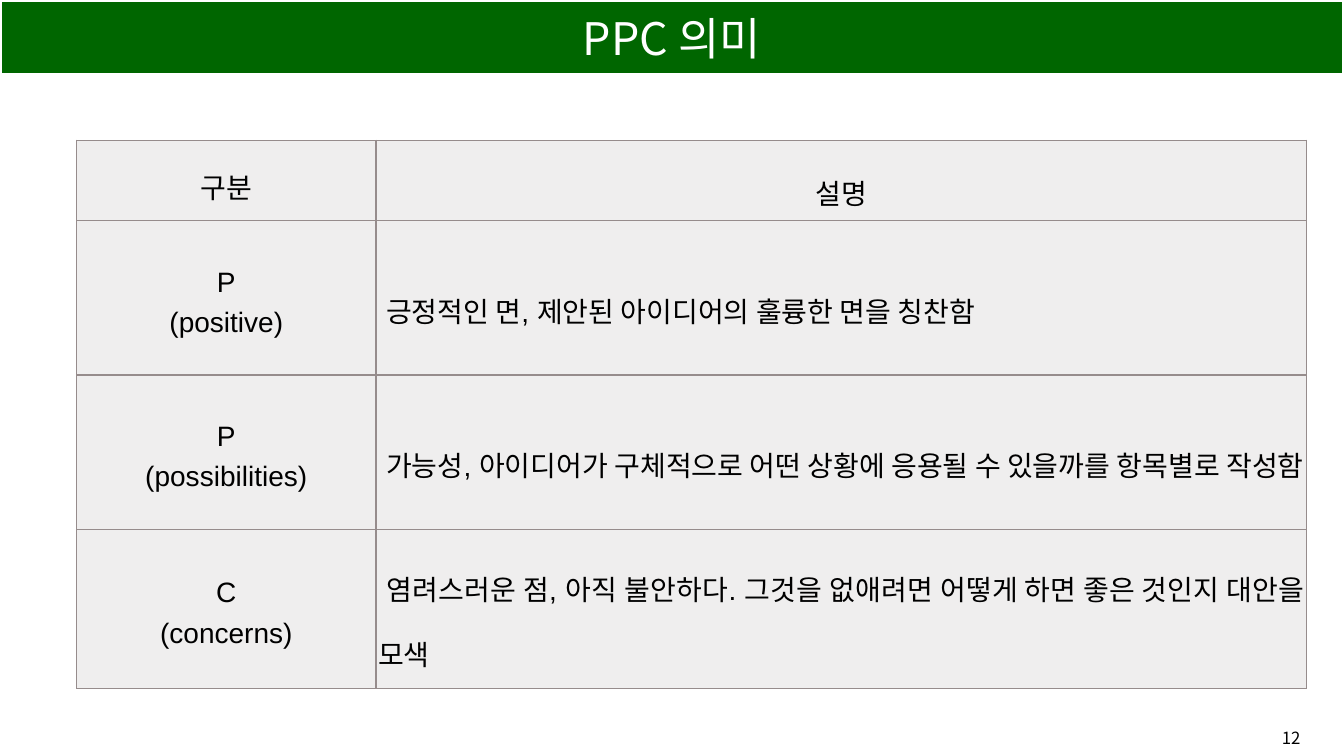
from lxml import etree
from pptx import Presentation
from pptx.dml import color
from pptx.enum import shapes, text
from pptx.oxml import ns
from pptx.util import Inches, Pt

COLORS = {"banner": "006600", "cell": "EFEEEE", "border": "968C8C",
          "white": "FFFFFF", "black": "000000"}
KOREAN_FONT = "Noto Sans CJK KR"
LATIN_FONT = "Arial"
CENTER = text.PP_ALIGN.CENTER
JUSTIFY = text.PP_ALIGN.JUSTIFY
MIDDLE = text.MSO_ANCHOR.MIDDLE

HEADER = ("구분", "설명")
MEANINGS = [
    ("P\n(positive)", "긍정적인 면, 제안된 아이디어의 훌륭한 면을 칭찬함"),
    ("P\n(possibilities)",
     "가능성, 아이디어가 구체적으로 어떤 상황에 응용될 수 있을까를 항목별로 작성함"),
    ("C\n(concerns)",
     "염려스러운 점, 아직 불안하다. 그것을 없애려면 어떻게 하면 좋은 것인지 대안을 모색"),
]


def rgb(name):
    return color.RGBColor.from_string(COLORS[name])


def write(frame, content, size=20, font=LATIN_FONT, ink="black",
          align=CENTER, spacing=None, indent=0):
    for index, line in enumerate(content.split("\n")):
        paragraph = frame.paragraphs[0] if index == 0 else frame.add_paragraph()
        paragraph.alignment = align
        paragraph.line_spacing = spacing
        if indent:
            properties = paragraph._p.get_or_add_pPr()
            properties.set("marL", "0")
            properties.set("indent", str(Inches(indent)))
        run = paragraph.add_run()
        run.text = line
        run.font.size = Pt(size)
        run.font.name = font
        run.font.color.rgb = rgb(ink)
        east_asian = etree.SubElement(run._r.get_or_add_rPr(), ns.qn("a:ea"))
        east_asian.set("typeface", KOREAN_FONT)


class SlideBuilder:
    """Draws styled elements on the current slide."""

    def __init__(self, slide):
        self.slide = slide

    def banner(self, title, width, height):
        shape = self.slide.shapes.add_shape(
            shapes.MSO_SHAPE.RECTANGLE, 0, 0, Inches(width), Inches(height))
        shape.shadow.inherit = False
        shape.fill.solid()
        shape.fill.fore_color.rgb = rgb("banner")
        shape.line.color.rgb = rgb("white")
        shape.line.width = Pt(3)
        shape.text_frame.vertical_anchor = MIDDLE
        write(shape.text_frame, title, size=32, font=KOREAN_FONT, ink="white")

    def page_number(self, number, left, top, width, height):
        box = self.slide.shapes.add_textbox(
            Inches(left), Inches(top), Inches(width), Inches(height))
        box.text_frame.word_wrap = False
        write(box.text_frame, number, size=12, font=KOREAN_FONT)

    def style_cell(self, cell):
        cell.vertical_anchor = MIDDLE
        cell.margin_left = cell.margin_right = Inches(0.02)
        cell.margin_top = cell.margin_bottom = Inches(0.01)
        properties = cell._tc.get_or_add_tcPr()
        for side in ("lnL", "lnR", "lnT", "lnB"):
            border = etree.SubElement(properties, ns.qn(f"a:{side}"), w=str(Pt(1)))
            fill = etree.SubElement(border, ns.qn("a:solidFill"))
            etree.SubElement(fill, ns.qn("a:srgbClr"), val=COLORS["border"])
        cell.fill.solid()
        cell.fill.fore_color.rgb = rgb("cell")

    def table(self, rows, left, top, widths, heights):
        table = self.slide.shapes.add_table(
            len(heights), len(widths), Inches(left), Inches(top),
            Inches(sum(widths)), Inches(sum(heights))).table
        for column, width in zip(table.columns, widths):
            column.width = Inches(width)
        for row, height in zip(table.rows, heights):
            row.height = Inches(height)
        for row_index, row in enumerate(rows):
            for column_index, content in enumerate(row):
                cell = table.cell(row_index, column_index)
                self.style_cell(cell)
                description = row_index > 0 and column_index == 1
                write(cell.text_frame, content,
                      align=JUSTIFY if description else CENTER,
                      spacing=1.6 if column_index else 1.3,
                      indent=0.08 if description else 0)


def main():
    presentation = Presentation()
    presentation.slide_width = Inches(13.33)
    presentation.slide_height = Inches(7.5)
    builder = SlideBuilder(
        presentation.slides.add_slide(presentation.slide_layouts[6]))
    builder.page_number("12", 12.58, 7.17, 0.45, 0.3)
    builder.banner("PPC 의미", 13.33, 0.75)
    builder.table([HEADER, *MEANINGS], 0.76, 1.39,
                  widths=(2.97, 9.23), heights=(0.8, 1.53, 1.53, 1.58))
    presentation.save("out.pptx")


if __name__ == "__main__":
    main()
